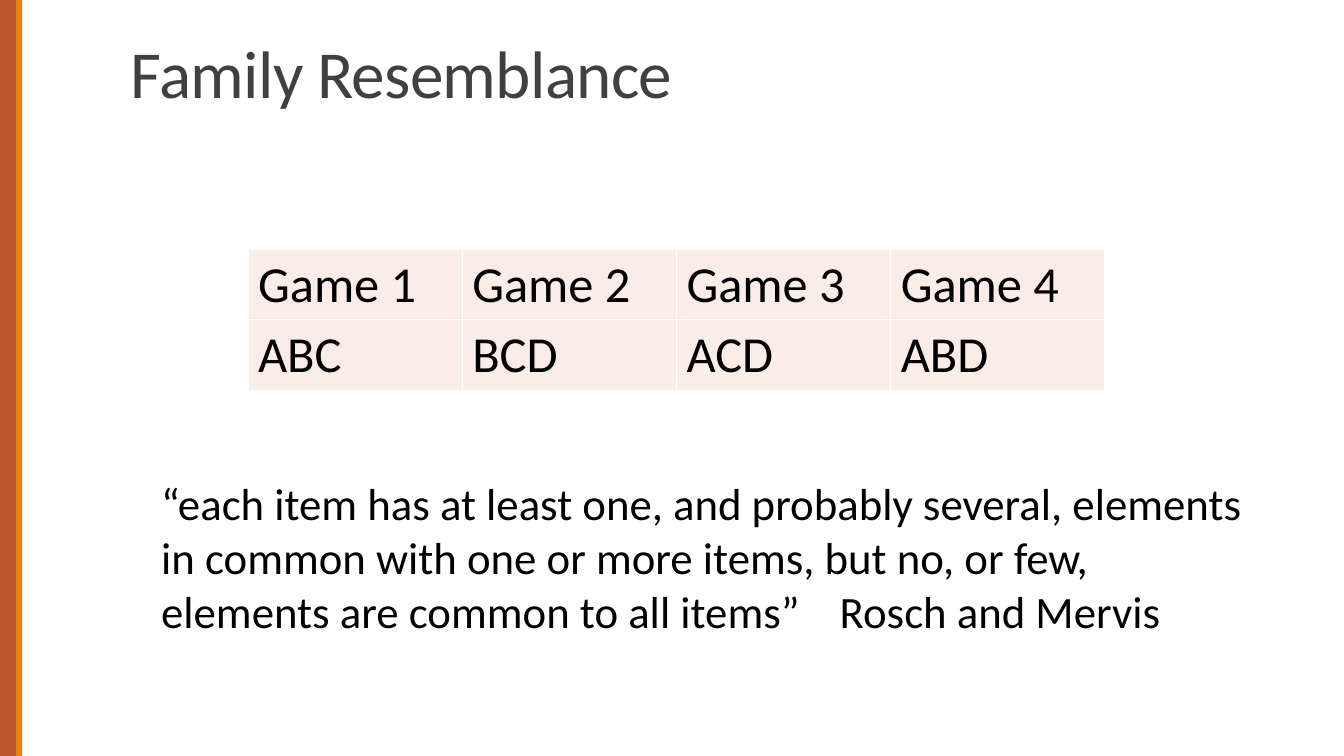
from lxml import etree
from pptx import Presentation
from pptx.dml.color import RGBColor
from pptx.enum.shapes import MSO_SHAPE
from pptx.enum.text import MSO_ANCHOR
from pptx.oxml.ns import qn
from pptx.util import Inches, Pt

TITLE = "Family Resemblance"
GAMES = [
    ("Game 1", "Game 2", "Game 3", "Game 4"),
    ("ABC", "BCD", "ACD", "ABD"),
]
QUOTE = (
    "“each item has at least one, and probably several, elements in common "
    "with one or more items, but no, or few, elements are common to all items”"
)
AUTHORS = "Rosch and Mervis"

THEME = {
    "font": "Calibri",
    "rust": "BD582C", "orange": "E48312", "title": "404040",
    "text": "000000", "cell": "FAEDE7", "border": "FFFFFF",
    "title_size": 48, "table_size": 36, "quote_size": 32,
}
SIDE_BARS = [(0, 0.22, "rust"), (0.16, 0.06, "orange")]
TITLE_BOX = (1.2, 0.17, 11, 0.99)
TABLE_BOX = (2.46, 2.47, 8.5, 1.4)
QUOTE_BOX = (1.5, 4.67, 11.16, 1.72)
AUTHORS_TAB = 6.73


def color(name):
    return RGBColor.from_string(THEME[name])


def write(paragraph, text, size, ink="text"):
    run = paragraph.add_run()
    run.text = text
    run.font.color.rgb = color(ink)
    for key, value in {"name": THEME["font"], "size": Pt(THEME[size])}.items():
        setattr(run.font, key, value)
    return run


def add_text_frame(slide, box, anchor):
    frame = slide.shapes.add_textbox(*map(Inches, box)).text_frame
    for key, value in {"word_wrap": True, "vertical_anchor": anchor}.items():
        setattr(frame, key, value)
    return frame


def add_side_bars(slide, height):
    for left, width, fill in SIDE_BARS:
        bar = slide.shapes.add_shape(
            MSO_SHAPE.RECTANGLE, Inches(left), 0, Inches(width), height)
        bar.shadow.inherit = False
        bar.fill.solid()
        bar.fill.fore_color.rgb = color(fill)
        bar.line.fill.background()


def add_title(slide):
    paragraph = add_text_frame(slide, TITLE_BOX, MSO_ANCHOR.BOTTOM).paragraphs[0]
    paragraph.line_spacing = 0.85
    run = write(paragraph, TITLE, "title_size", "title")
    run.font._element.set("spc", "-50")


def add_borders(cell):
    properties = cell._tc.get_or_add_tcPr()
    for position, side in enumerate(("a:lnL", "a:lnR", "a:lnT", "a:lnB")):
        line = etree.Element(qn(side), w=str(Pt(1)))
        fill = etree.SubElement(line, qn("a:solidFill"))
        etree.SubElement(fill, qn("a:srgbClr"), val=THEME["border"])
        properties.insert(position, line)


def add_games(slide):
    table = slide.shapes.add_table(
        len(GAMES), len(GAMES[0]), *map(Inches, TABLE_BOX)).table
    for key in ("first_row", "horz_banding"):
        setattr(table, key, False)
    for row, texts in enumerate(GAMES):
        for column, text in enumerate(texts):
            cell = table.cell(row, column)
            cell.fill.solid()
            cell.fill.fore_color.rgb = color("cell")
            add_borders(cell)
            write(cell.text_frame.paragraphs[0], text, "table_size")


def add_quote(slide):
    paragraph = add_text_frame(slide, QUOTE_BOX, MSO_ANCHOR.TOP).paragraphs[0]
    tabs = etree.SubElement(paragraph._p.get_or_add_pPr(), qn("a:tabLst"))
    etree.SubElement(tabs, qn("a:tab"), pos=str(Inches(AUTHORS_TAB)), algn="l")
    write(paragraph, f"{QUOTE}\t{AUTHORS}", "quote_size")


def main():
    presentation = Presentation()
    presentation.slide_width = Inches(13.33)
    presentation.slide_height = Inches(7.5)
    slide = presentation.slides.add_slide(presentation.slide_layouts[6])
    add_side_bars(slide, presentation.slide_height)
    add_title(slide)
    add_games(slide)
    add_quote(slide)
    presentation.save("out.pptx")


if __name__ == "__main__":
    main()
